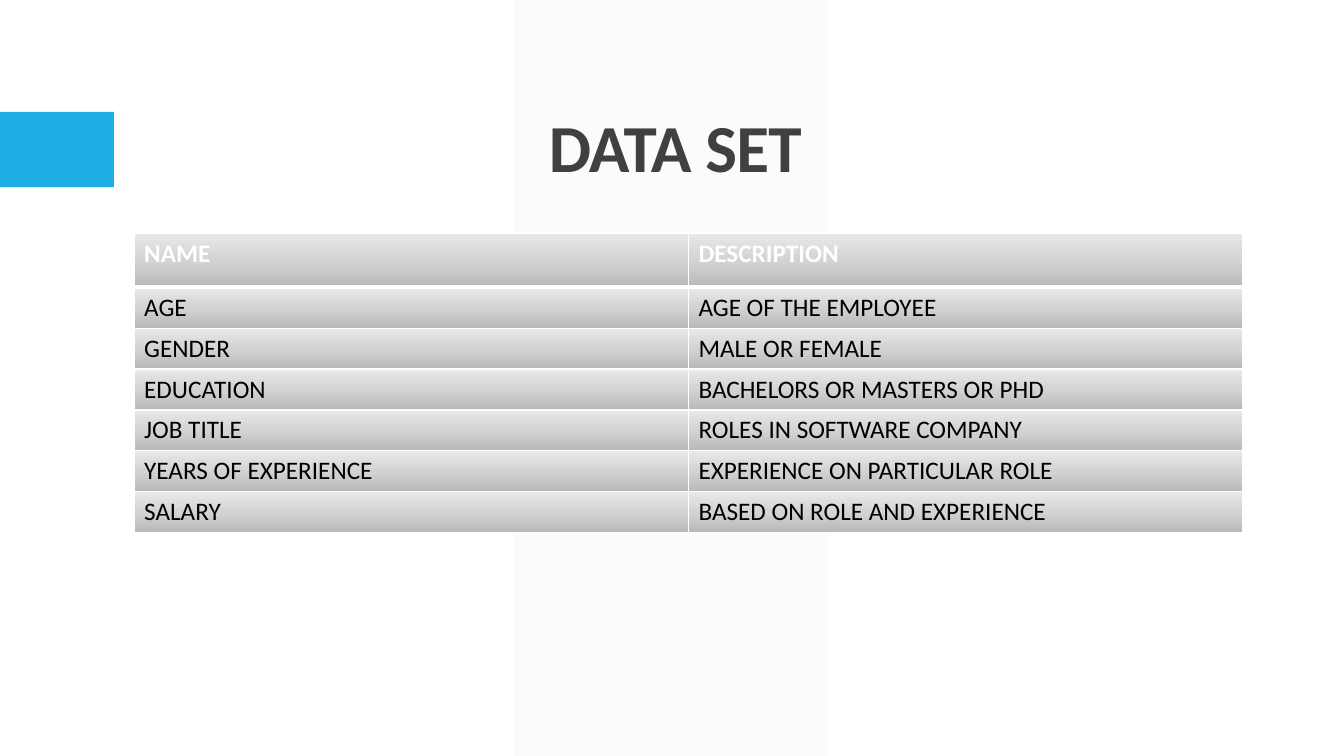
from lxml import etree
from pptx import Presentation
from pptx.dml.color import RGBColor as RGB
from pptx.enum.shapes import MSO_SHAPE as SHAPE
from pptx.enum.text import MSO_ANCHOR as ANCHOR, PP_ALIGN as ALIGN
from pptx.oxml.ns import qn
from pptx.util import Cm, Pt

# Content
HEADING = "DATA SET"
FIELDS = [
    ("NAME", "DESCRIPTION"),
    ("AGE", "AGE OF THE EMPLOYEE"),
    ("GENDER", "MALE OR FEMALE"),
    ("EDUCATION", "BACHELORS OR MASTERS OR PHD"),
    ("JOB TITLE", "ROLES IN SOFTWARE COMPANY"),
    ("YEARS OF EXPERIENCE", "EXPERIENCE ON PARTICULAR ROLE"),
    ("SALARY", "BASED ON ROLE AND EXPERIENCE"),
]
COLORS = {"band": "F2F2F2", "accent": "1CADE4", "heading": "404040",
          "header": "FFFFFF", "body": "000000", "border": "FFFFFF"}
GRADIENT = [(0, "B8B8B8"), (50, "D3D3D3"), (100, "E9E9E9")]
FONT = "Calibri"
TABLE_WIDTH, HEADER_HEIGHT, ROW_HEIGHT = 27.94, 1.37, 1.03


def add_block(slide, kind, box, color):
    block = slide.shapes.add_shape(kind, *map(Cm, box))
    block.shadow.inherit = False
    block.fill.solid()
    block.fill.fore_color.rgb = RGB.from_string(color)
    block.line.fill.background()
    return block


def style_run(run, size, color, bold):
    run.font.name, run.font.size, run.font.bold = FONT, Pt(size), bold
    run.font.color.rgb = RGB.from_string(color)


def add_element(parent, tag, **attributes):
    element = etree.SubElement(parent, qn(tag))
    for key, value in attributes.items():
        element.set(key, str(value))
    return element


def style_cell(cell, row):
    props = cell._tc.get_or_add_tcPr()
    # Borders, with a heavier rule below the header
    widths = {"L": 1, "R": 1, "T": 3 if row == 1 else 1, "B": 3 if row == 0 else 1}
    for side, width in widths.items():
        border = add_element(props, f"a:ln{side}", w=Pt(width))
        fill = add_element(border, "a:solidFill")
        add_element(fill, "a:srgbClr", val=COLORS["border"])
    # Vertical gradient, dark at the bottom
    gradient = add_element(props, "a:gradFill", rotWithShape=1)
    stops = add_element(gradient, "a:gsLst")
    for position, color in GRADIENT:
        stop = add_element(stops, "a:gs", pos=position * 1000)
        add_element(stop, "a:srgbClr", val=color)
    add_element(gradient, "a:lin", ang=270 * 60000, scaled=0)


def main():
    deck = Presentation()
    deck.slide_width, deck.slide_height = Cm(33.87), Cm(19.05)
    slide = deck.slides.add_slide(deck.slide_layouts[6])

    # Background band and accent block
    band = add_block(slide, SHAPE.PARALLELOGRAM, (12.96, 0, 7.93, 19.05), COLORS["band"])
    band.adjustments[0] = 0
    tint = band.fill._xPr.find(qn("a:solidFill"))[0]
    add_element(tint, "a:alpha", val=30000)
    add_block(slide, SHAPE.RECTANGLE, (0, 2.82, 2.87, 1.9), COLORS["accent"])

    # Heading
    frame = slide.shapes.add_textbox(Cm(3.05), Cm(0.79), Cm(27.94), Cm(4.04)).text_frame
    frame.word_wrap = True
    frame.vertical_anchor = ANCHOR.BOTTOM
    frame.text = HEADING
    heading = frame.paragraphs[0]
    heading.alignment, heading.line_spacing = ALIGN.CENTER, 0.9
    style_run(heading.runs[0], 48, COLORS["heading"], True)
    heading.runs[0].font._element.set("spc", "-50")

    # Table of fields
    heights = [HEADER_HEIGHT] + [ROW_HEIGHT] * (len(FIELDS) - 1)
    table = slide.shapes.add_table(len(FIELDS), len(FIELDS[0]), Cm(3.38), Cm(5.87),
                                   Cm(TABLE_WIDTH), Cm(sum(heights))).table
    for row, (entry, height) in enumerate(zip(FIELDS, heights)):
        table.rows[row].height = Cm(height)
        for column, words in enumerate(entry):
            cell = table.cell(row, column)
            cell.text_frame.text = words
            style_run(cell.text_frame.paragraphs[0].runs[0], 18,
                      COLORS["body" if row else "header"], row == 0)
            style_cell(cell, row)

    deck.save("out.pptx")


if __name__ == "__main__":
    main()
